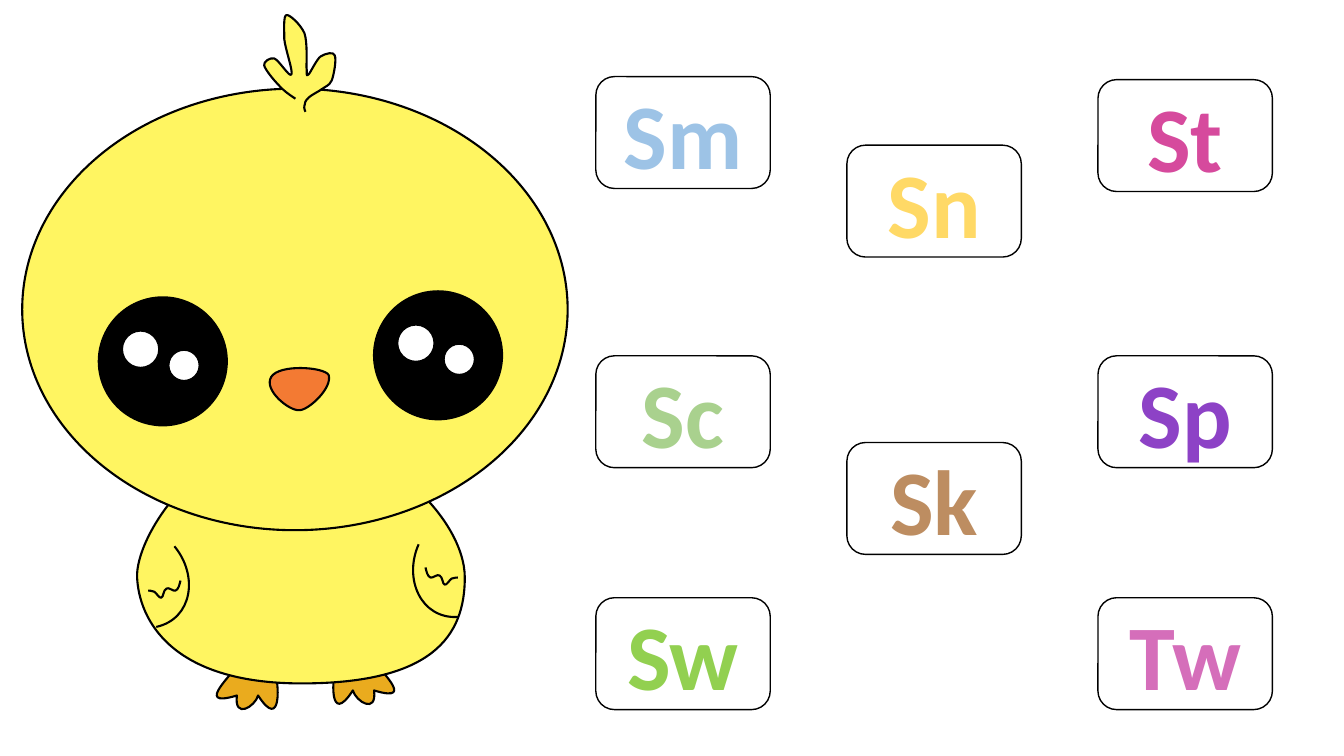
from dataclasses import dataclass

from lxml.etree import SubElement
from pptx import Presentation
from pptx.dml.color import RGBColor
from pptx.enum.shapes import MSO_SHAPE as SHAPE
from pptx.enum.text import MSO_ANCHOR as ANCHOR, PP_ALIGN as ALIGN
from pptx.oxml.ns import qn
from pptx.util import Inches, Pt


@dataclass(frozen=True)
class Theme:
    ink: str = "000000"
    white: str = "FFFFFF"
    down: str = "FFF561"
    beak: str = "F37A33"
    feet: str = "EAAB1E"
    font: str = "Calibri"
    letters: int = 66
    card_line: float = 1
    chick_line: float = 1.5


theme = Theme()

prs = Presentation()
prs.slide_width, prs.slide_height = Inches(13.33), Inches(7.5)
slide = prs.slides.add_slide(prs.slide_layouts[6])


def paint(s, fill=None, width=theme.chick_line):
    s.shadow.inherit = False
    if fill:
        s.fill.solid()
        s.fill.fore_color.rgb = RGBColor.from_string(fill)
    else:
        s.fill.background()
    s.line.color.rgb = RGBColor.from_string(theme.ink)
    s.line.width = Pt(width)


def trace(shapes, part, fill=None, close=False, flip=None, drop=0):
    """Draw a part: its box, then lines (one point) and Bezier curves (three points).

    With flip, the part is mirrored: each x becomes flip - x.
    """
    (left, top, width, height), *outline = part
    if flip is not None:
        left = flip - left - width
    top += drop
    builder = shapes.build_freeform(Inches(left), Inches(top))
    builder.add_line_segments([(Inches(left + width), Inches(top + height))], close=False)
    s = builder.convert_to_shape()
    path = s._element.find(".//" + qn("a:path"))
    del path[:]
    for i, segment in enumerate(outline):
        tag = "a:moveTo" if i == 0 else "a:lnTo" if len(segment) == 2 else "a:cubicBezTo"
        step = SubElement(path, qn(tag))
        for x, y in zip(segment[::2], segment[1::2]):
            x = x if flip is None else flip - x
            SubElement(step, qn("a:pt"), x=str(Inches(x - left)), y=str(Inches(y + drop - top)))
    if close:
        SubElement(path, qn("a:close"))
    paint(s, fill)
    return s


# Letter cards: text, column, top, colour
LEFT, PITCH = 5.91, 2.49
cards = [
    ("Sm", 0, 0.76, "9DC3E6"),
    ("St", 2, 0.79, "D64A9D"),
    ("Sk", 1, 4.39, "BD8D61"),
    ("Sn", 1, 1.44, "FFD966"),
    ("Sc", 0, 3.53, "A9D18E"),
    ("Sp", 2, 3.53, "8D42C6"),
    ("Sw", 0, 5.93, "92D050"),
    ("Tw", 2, 5.93, "D56EBA"),
]
for text, col, top, color in cards:
    s = slide.shapes.add_shape(SHAPE.ROUNDED_RECTANGLE, Inches(LEFT + col * PITCH),
                               Inches(top), Inches(1.73), Inches(1.11))
    paint(s, width=theme.card_line)
    tf = s.text_frame
    tf.text = text
    tf.vertical_anchor = ANCHOR.MIDDLE
    p = tf.paragraphs[0]
    p.alignment = ALIGN.CENTER
    font = p.runs[0].font
    font.name, font.size, font.bold = theme.font, Pt(theme.letters), True
    font.color.rgb = RGBColor.from_string(color)

# Chick parts
foot = [(3.3, 6.42, 0.61, 0.57),
        (3.36, 6.42), (3.72, 6.42), (3.72, 6.55),
        (3.69, 6.59, 4.17, 6.99, 3.71, 6.85),
        (3.74, 7.09, 3.53, 6.96, 3.5, 6.85),
        (3.26, 7.22, 3.29, 6.71, 3.34, 6.59),
        (3.31, 6.52, 3.36, 6.44, 3.36, 6.42)]
body = [(1.36, 4.33, 3.25, 2.45),
        (1.36, 5.73),
        (1.34, 5.32, 1.99, 4.33, 2.89, 4.33),
        (3.79, 4.33, 4.61, 5.15, 4.61, 5.73),
        (4.61, 6.31, 4.29, 6.78, 2.99, 6.78),
        (1.69, 6.78, 1.38, 6.14, 1.36, 5.73)]
wing = [(1.55, 5.42, 0.32, 0.8),
        (1.73, 5.42),
        (1.97, 5.71, 1.91, 6.14, 1.55, 6.22)]
feathers = [(4.22, 5.63, 0.32, 0.18),
            (4.22, 5.63),
            (4.23, 5.67, 4.24, 5.72, 4.27, 5.73),
            (4.29, 5.74, 4.34, 5.69, 4.36, 5.71),
            (4.39, 5.72, 4.39, 5.8, 4.41, 5.8),
            (4.43, 5.81, 4.46, 5.75, 4.48, 5.74),
            (4.5, 5.73, 4.54, 5.73, 4.54, 5.73)]
tuft = [(2.62, 0.15, 0.71, 0.96),
        (2.93, 0.98),
        (2.87, 0.94, 2.81, 0.9, 2.76, 0.84),
        (2.71, 0.79, 2.63, 0.69, 2.62, 0.65),
        (2.61, 0.61, 2.68, 0.57, 2.72, 0.58),
        (2.77, 0.6, 2.87, 0.77, 2.89, 0.74),
        (2.91, 0.71, 2.83, 0.49, 2.82, 0.39),
        (2.82, 0.29, 2.81, 0.16, 2.84, 0.15),
        (2.87, 0.14, 2.98, 0.24, 3.02, 0.33),
        (3.05, 0.42, 3.04, 0.61, 3.04, 0.67),
        (3.05, 0.74, 3.03, 0.76, 3.06, 0.74),
        (3.08, 0.72, 3.14, 0.59, 3.18, 0.56),
        (3.23, 0.53, 3.31, 0.51, 3.32, 0.55),
        (3.34, 0.59, 3.31, 0.75, 3.29, 0.8),
        (3.26, 0.86, 3.23, 0.85, 3.2, 0.88),
        (3.16, 0.91, 3.09, 0.94, 3.06, 0.97),
        (3.03, 1, 3.02, 1.02, 3.02, 1.05),
        (3.01, 1.07, 3.03, 1.11, 3.03, 1.11)]
beak = [(2.68, 3.65, 0.58, 0.43),
        (2.69, 3.74),
        (2.77, 3.61, 3.21, 3.64, 3.26, 3.72),
        (3.3, 3.85, 3.06, 4.07, 2.97, 4.07),
        (2.87, 4.08, 2.61, 3.87, 2.69, 3.74)]

# Chick, from the feet up
chick = slide.shapes.add_group_shape().shapes
trace(chick, foot, theme.feet, close=True)
trace(chick, foot, theme.feet, close=True, flip=6.06, drop=0.05)
trace(chick, body, theme.down, close=True)
head = chick.add_shape(SHAPE.OVAL, Inches(0.22), Inches(0.88), Inches(5.41), Inches(4.38))
paint(head, theme.down)
trace(chick, wing)
trace(chick, feathers)
trace(chick, feathers, flip=6.01, drop=0.13)
right_wing = trace(chick, wing, flip=5.99, drop=-0.04)
right_wing.rotation = 344.3
trace(chick, tuft, theme.down)
trace(chick, beak, theme.beak, close=True)

# Each eye: pupil and two glints, as offset x, offset y, diameter, colour
eye_parts = [(0, 0, 1.27, theme.ink),
             (0.23, 0.33, 0.37, theme.white),
             (0.69, 0.52, 0.31, theme.white)]
for eye_x, eye_y in ((0.98, 2.95), (3.71, 2.89)):
    for dx, dy, size, color in eye_parts:
        s = chick.add_shape(SHAPE.OVAL, Inches(eye_x + dx), Inches(eye_y + dy),
                            Inches(size), Inches(size))
        paint(s, color)

prs.save("out.pptx")
